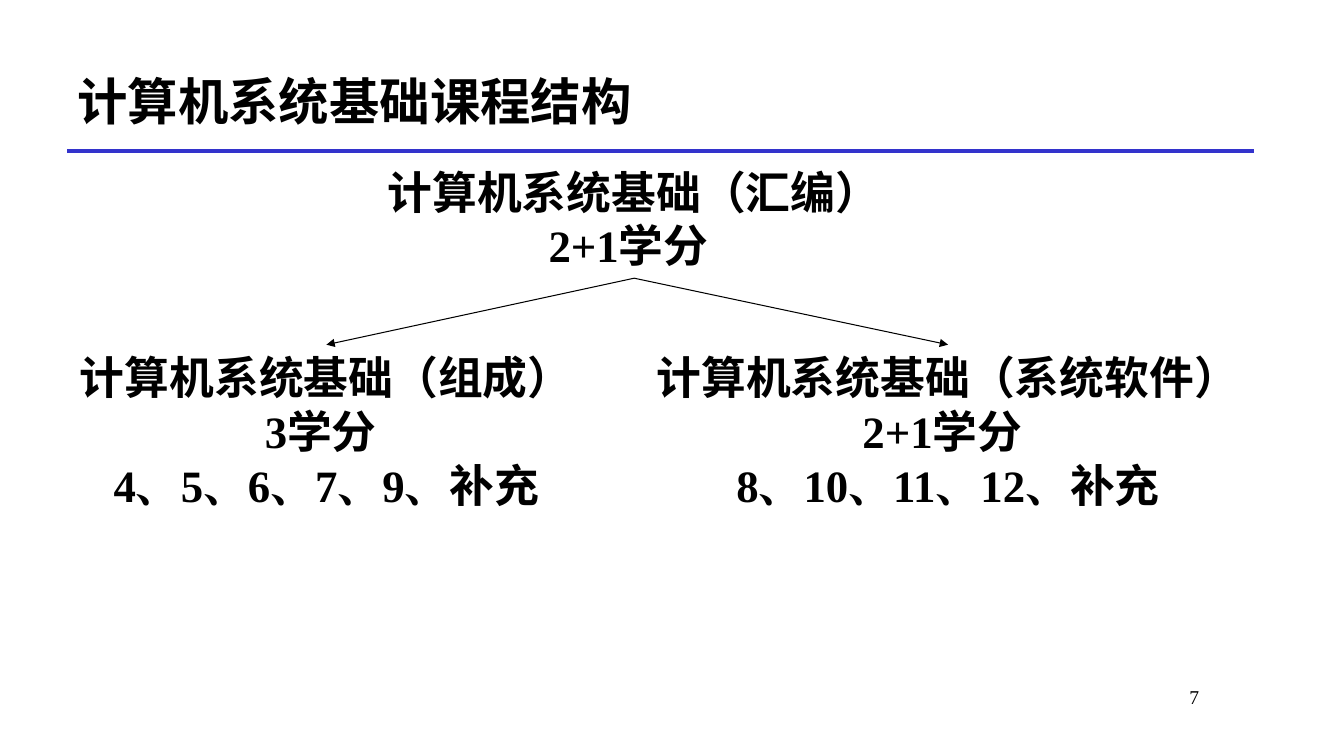
from dataclasses import dataclass

from lxml.etree import SubElement
from pptx import Presentation
from pptx.dml.color import RGBColor
from pptx.enum.lang import MSO_LANGUAGE_ID as Lang
from pptx.enum.shapes import MSO_CONNECTOR as Connector
from pptx.enum.text import MSO_ANCHOR as Anchor, PP_ALIGN as Align
from pptx.oxml.ns import qn
from pptx.util import Inches, Pt

TITLE = "计算机系统基础课程结构"
PAGE_NUMBER = "7"

# Each course: box (left, top, width, height), then lines of (text, font role) runs
ROOT = ((3.75, 1.58, 5.09, 1.18), [
    [("计算机系统基础（汇编）", "han")],
    [("2+1", "latin"), ("学分", "han"), (" ", "latin")],
])
BRANCHES = [
    ((0.55, 3.42, 5.38, 1.7), [
        [("计算机系统基础（组成）", "han")],
        [("3", "latin"), ("学分", "han"), (" ", "latin")],
        [("4、5、6、7、9、", "latin"), ("补充", "han")],
    ]),
    ((6.42, 3.42, 5.98, 1.7), [
        [("计算机系统基础（系统软件）", "han")],
        [("2+1", "latin"), ("学分", "han"), (" ", "latin")],
        [("8、10、11、12、", "latin"), ("补充", "han")],
    ]),
]
TITLE_AREA = (0.67, 0.5, 11.78, 1)
NUMBER_AREA = (10.11, 6.75, 1.89, 0.5)


@dataclass(frozen=True)
class Theme:
    ink: RGBColor = RGBColor(0, 0, 0)
    rule: RGBColor = RGBColor(0x33, 0x33, 0xCC)
    han: str = "Comic Neue"
    latin: str = "Times New Roman"
    title_size: int = 36
    course_size: int = 32
    number_size: int = 14


THEME = Theme()


def add_text(page, area, lines, size, align, bold=True, side_inset=0.1):
    box = page.shapes.add_textbox(*map(Inches, area))
    frame = box.text_frame
    frame.word_wrap = True
    frame.margin_left = frame.margin_right = Inches(side_inset)
    for index, line in enumerate(lines):
        para = frame.add_paragraph() if index else frame.paragraphs[0]
        para.alignment = align
        for text, role in line:
            span = para.add_run()
            span.text = text
            font = span.font
            font.size, font.bold = Pt(size), bold
            font.color.rgb = THEME.ink
            font.language_id = Lang.SIMPLIFIED_CHINESE
            font.name = getattr(THEME, role)
            east_asian = SubElement(span._r.get_or_add_rPr(), qn("a:ea"))
            east_asian.set("typeface", font.name)
    return box


def add_line(page, start, end, color, width):
    line = page.shapes.add_connector(Connector.STRAIGHT, *map(Inches, start + end))
    line.line.color.rgb = color
    line.line.width = Pt(width)
    SubElement(line._element.spPr, qn("a:effectLst"))
    return line


def add_arrow(page, parent, child):
    """Arrow from the bottom of the parent box to the top of the child box."""
    arrow = add_line(page, (0, 0), (1, 1), THEME.ink, 0.75)
    arrow.begin_connect(parent, 2)
    arrow.end_connect(child, 0)
    SubElement(arrow.line._get_or_add_ln(), qn("a:tailEnd")).set("type", "triangle")


def main():
    deck = Presentation()
    deck.slide_width, deck.slide_height = Inches(13.34), Inches(7.5)
    page = deck.slides.add_slide(deck.slide_layouts[6])

    left, top, width, height = TITLE_AREA
    add_line(page, (left, top + height), (left + width, top + height), THEME.rule, 3)
    title = add_text(page, TITLE_AREA, [[(TITLE, "han")]], THEME.title_size, Align.LEFT)
    title.text_frame.vertical_anchor = Anchor.MIDDLE

    root, *branches = [
        add_text(page, area, lines, THEME.course_size, Align.CENTER, side_inset=0)
        for area, lines in [ROOT, *BRANCHES]
    ]
    for branch in branches:
        add_arrow(page, root, branch)

    add_text(page, NUMBER_AREA, [[(PAGE_NUMBER, "latin")]], THEME.number_size,
             Align.RIGHT, bold=False)
    deck.save("out.pptx")


if __name__ == "__main__":
    main()
